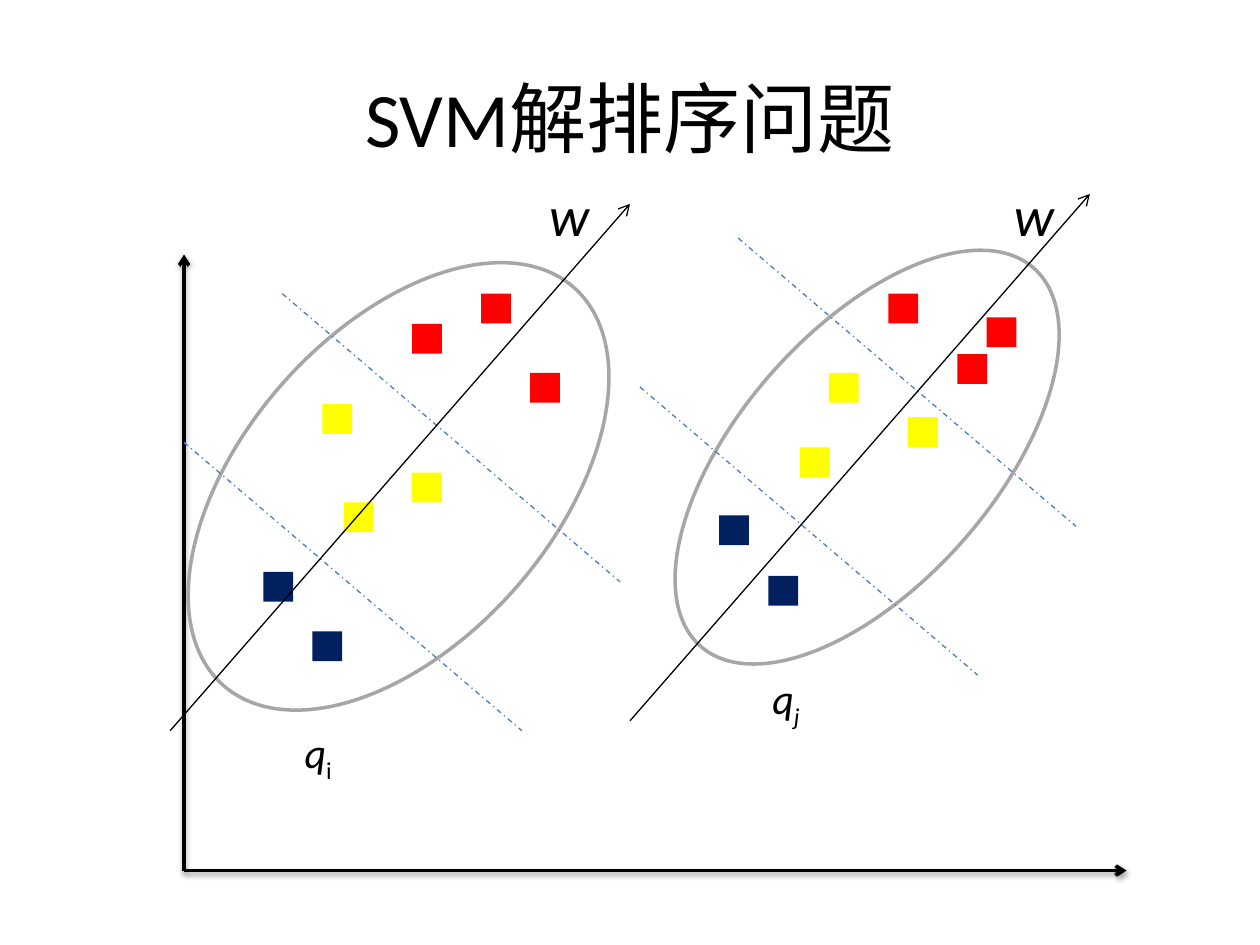
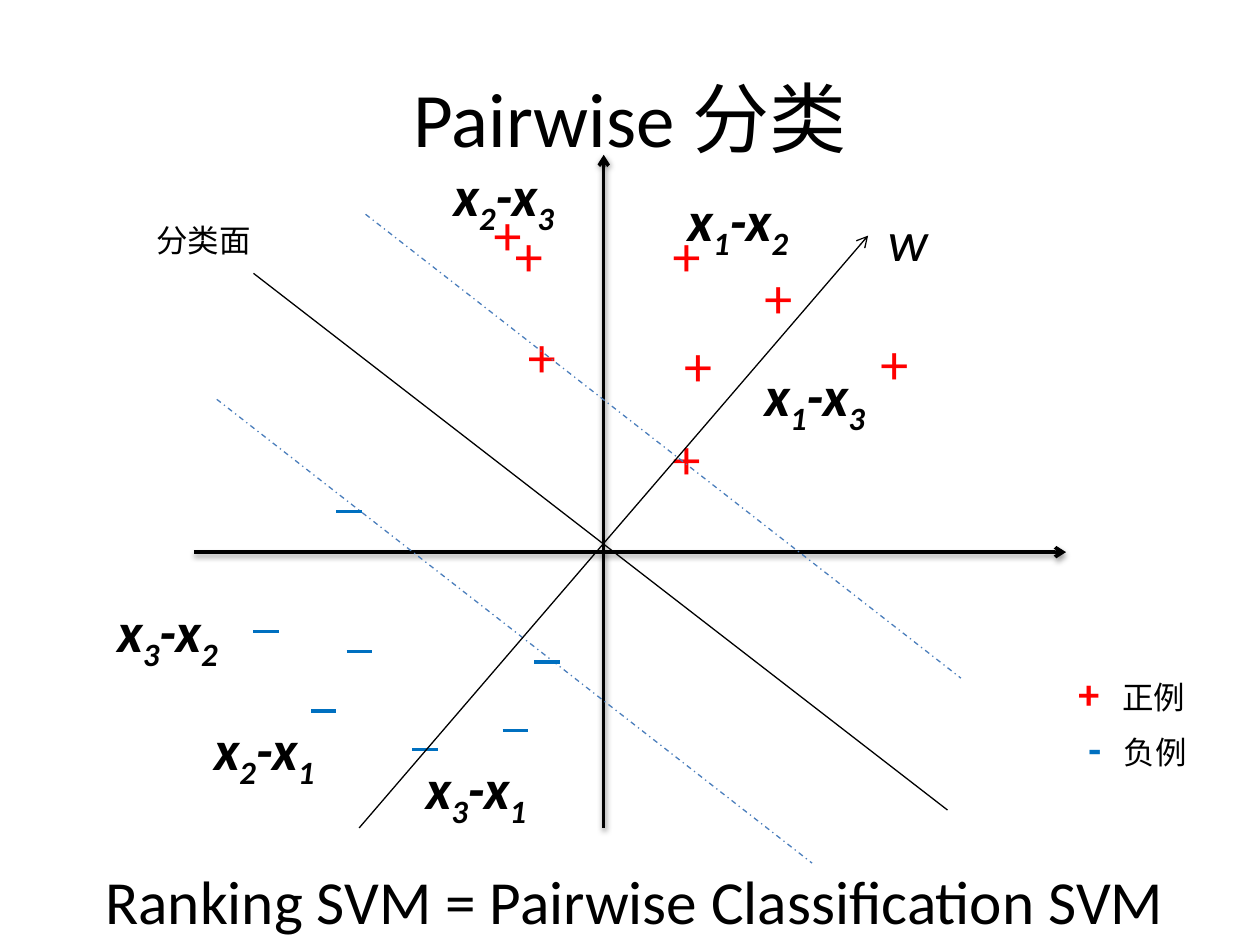
import pptx
import pptx.util
import pptx.dml.color
import pptx.enum.dml
import pptx.enum.shapes
import pptx.enum.text
import pptx.oxml
import pptx.oxml.ns
from lxml import etree
from dataclasses import dataclass

Cm, Pt = pptx.util.Cm, pptx.util.Pt
qn = pptx.oxml.ns.qn


@dataclass(frozen=True)
class Theme:
    font: str = "Calibri"
    black: str = "000000"
    red: str = "FF0000"
    yellow: str = "FFFF00"
    navy: str = "002060"
    blue: str = "0070C0"
    dash: str = "4B7EBC"
    grey: str = "A6A6A6"
    title: float = 44
    footer: float = 35
    symbol: float = 32
    label: float = 24
    note: float = 18
    thin: float = 0.75
    thick: float = 2


T = Theme()

TITLE_BOX = (1.27, 0.76, 22.86, 3.18)
SYMBOL_BOX = (1.6, 1.63)
W_BOX = (1.7, 1.63)
PAIR_BOX = (3.56, 1.63)
QUERY_BOX = (2.79, 1.27)
LEGEND_BOX = (3.4, 1.27)
SQUARE = 0.6
DASH_WIDTH = 0.51
ELLIPSE_TURN = 311.4

RANKING = {
    "title": "SVM解排序问题",
    "axes": [(3.71, 17.55, 3.71, 5.13), (3.71, 17.55, 22.71, 17.55)],
    "margin_step": (6.81, 5.81),
    "w_step": (9.27, -10.62),
    "queries": [
        {
            "ellipse": (2.69, 6.68, 10.69, 6.25),
            "margins": [(5.69, 5.92), (3.71, 8.92)],
            "items": {
                T.red: [(8.31, 6.53), (9.7, 5.92), (10.69, 7.52)],
                T.yellow: [(6.5, 8.15), (8.31, 9.53), (6.93, 10.13)],
                T.navy: [(5.31, 11.53), (6.3, 12.73)],
            },
            "w_start": (3.43, 14.73),
            "w_label": (10.82, 3.51),
            "name": (5.89, 14.53),
            "index": ("i", {"italic": False}),
        },
        {
            "ellipse": (12.4, 6.65, 10.16, 5.13),
            "margins": [(14.88, 4.8), (12.9, 7.8)],
            "items": {
                T.red: [(17.91, 5.92), (19.3, 7.14), (19.89, 6.4)],
                T.yellow: [(16.71, 7.52), (18.31, 8.41), (16.13, 9.02)],
                T.navy: [(14.5, 10.39), (15.49, 11.61)],
            },
            "w_start": (12.7, 14.53),
            "w_label": (20.19, 3.51),
            "name": (15.32, 13.44),
            "index": ("j", {"italic": True}),
        },
    ],
}

PAIRWISE = {
    "title": "Pairwise 分类",
    "axes": [(3.91, 11.13, 21.49, 11.13), (12.17, 16.69, 12.17, 3.12)],
    "positives": [(13.31, 4.32), (15.16, 5.16), (13.54, 6.53), (9.7, 3.89),
                  (17.5, 6.5), (10.39, 6.35), (13.31, 8.41), (10.13, 4.32)],
    "negatives": [(10.77, 13.34), (6.78, 10.31), (6.99, 13.13), (5.11, 12.73),
                  (8.31, 15.11), (10.13, 14.73), (6.27, 14.33)],
    "margin_step": (12, 9.35),
    "margins": [(7.37, 4.32), (4.37, 8.05)],
    "boundary": (5.11, 5.51, 19.1, 16.33),
    "boundary_label": ("分类面", (2.9, 4.34, 3.63, 1.02)),
    "pairs": [("1", "2", 13.61, 3.61), ("1", "3", 15.16, 7.14),
              ("2", "3", 8.89, 3.12), ("3", "1", 8.33, 15.06),
              ("2", "1", 4.06, 14.27), ("3", "2", 2.11, 11.91)],
    "w": (7.24, 16.69, 17.5, 4.75),
    "w_label": (17.65, 4.01),
    "footer": ("Ranking SVM = Pairwise Classification SVM", (0.1, 16.56, 25.4, 3.18)),
    "legend": [("+", "正例", T.red, (21.49, 13.34), 0.88),
               ("-", "负例", T.blue, (21.69, 14.45), 0.71)],
}


def rgb(value):
    return pptx.dml.color.RGBColor.from_string(value)


def style_run(r, size, color=T.black, sub=False, **fmt):
    for key, value in {"name": T.font, "size": Pt(size), **fmt}.items():
        setattr(r.font, key, value)
    r.font.color.rgb = rgb(color)
    if sub:
        r._r.get_or_add_rPr().set("baseline", "-25000")


def write(tf, runs, align=None, **fmt):
    for key, value in {"word_wrap": True, **fmt}.items():
        setattr(tf, key, value)
    p = tf.paragraphs[0]
    p.alignment = align
    for text, style in runs:
        r = p.add_run()
        r.text = text
        style_run(r, **style)
    return p


def add_text(slide, box, runs, **fmt):
    sp = slide.shapes.add_textbox(*map(Cm, box))
    return write(sp.text_frame, runs, **fmt)


def add_line(slide, ends, color=T.black, width=T.thin, dashed=False, arrow=False, shadow=False):
    cx = slide.shapes.add_connector(pptx.enum.shapes.MSO_CONNECTOR.STRAIGHT, *map(Cm, ends))
    cx.line.color.rgb = rgb(color)
    cx.line.width = Pt(width)
    if dashed:
        cx.line.dash_style = pptx.enum.dml.MSO_LINE.DASH_DOT
    if arrow:
        etree.SubElement(cx.line._get_or_add_ln(), qn("a:tailEnd"), type="arrow")
    effects = etree.SubElement(cx._element.spPr, qn("a:effectLst"))
    if shadow:
        outer = etree.SubElement(effects, qn("a:outerShdw"), blurRad="40000",
                                 dist="20000", dir="5400000", rotWithShape="0")
        tint = etree.SubElement(outer, qn("a:srgbClr"), val=T.black)
        etree.SubElement(tint, qn("a:alpha"), val="38000")


def add_step_line(slide, start, step, **fmt):
    (x, y), (dx, dy) = start, step
    add_line(slide, (x, y, x + dx, y + dy), **fmt)


def add_margins(slide, starts, step):
    for start in starts:
        add_step_line(slide, start, step, color=T.dash, dashed=True)


def add_square(slide, spot, color):
    sp = slide.shapes.add_shape(pptx.enum.shapes.MSO_SHAPE.RECTANGLE,
                                *map(Cm, (*spot, SQUARE, SQUARE)))
    sp.shadow.inherit = False
    sp.fill.solid()
    sp.fill.fore_color.rgb = rgb(color)
    sp.line.fill.background()


def add_ellipse(slide, box):
    sp = slide.shapes.add_shape(pptx.enum.shapes.MSO_SHAPE.OVAL, *map(Cm, box))
    sp.shadow.inherit = False
    sp.rotation = ELLIPSE_TURN
    sp.fill.background()
    sp.line.color.rgb = rgb(T.grey)
    sp.line.width = Pt(T.thick)


def add_w(slide, spot):
    add_text(slide, (*spot, *W_BOX), [("w", {"size": T.symbol, "italic": True})])


def start_slide(prs, content):
    slide = prs.slides.add_slide(prs.slide_layouts[5])
    title = slide.shapes.title
    for key, value in zip(("left", "top", "width", "height"), TITLE_BOX):
        setattr(title, key, Cm(value))
    write(title.text_frame, [(content["title"], {"size": T.title})],
          align=pptx.enum.text.PP_ALIGN.CENTER,
          vertical_anchor=pptx.enum.text.MSO_ANCHOR.MIDDLE)
    for ends in content["axes"]:
        add_line(slide, ends, width=T.thick, arrow=True, shadow=True)
    return slide


def build_ranking(prs, content):
    slide = start_slide(prs, content)
    for query in content["queries"]:
        add_ellipse(slide, query["ellipse"])
        add_margins(slide, query["margins"], content["margin_step"])
        for color, spots in query["items"].items():
            for spot in spots:
                add_square(slide, spot, color)
        index, fmt = query["index"]
        add_text(slide, (*query["name"], *QUERY_BOX),
                 [("q", {"size": T.label, "italic": True}),
                  (index, {"size": T.label, "sub": True, **fmt})])
        add_step_line(slide, query["w_start"], content["w_step"], arrow=True)
        add_w(slide, query["w_label"])


def build_pairwise(prs, content):
    slide = start_slide(prs, content)
    for spot in content["positives"]:
        add_text(slide, (*spot, *SYMBOL_BOX), [("+", {"size": T.symbol, "color": T.red})])
    add_margins(slide, content["margins"], content["margin_step"])
    add_line(slide, content["boundary"])
    for spot in content["negatives"]:
        add_step_line(slide, spot, (DASH_WIDTH, 0), color=T.blue, width=T.thick)

    base = {"size": T.symbol, "bold": True, "italic": True}
    low = {**base, "sub": True}
    for first, second, x, y in content["pairs"]:
        add_text(slide, (x, y, *PAIR_BOX),
                 [("x", base), (first, low), ("-x", base), (second, low)])

    add_line(slide, content["w"], arrow=True)
    add_w(slide, content["w_label"])

    text, box = content["footer"]
    add_text(slide, box, [(text, {"size": T.footer})],
             align=pptx.enum.text.PP_ALIGN.CENTER,
             vertical_anchor=pptx.enum.text.MSO_ANCHOR.MIDDLE)

    for sign, meaning, color, spot, tab in content["legend"]:
        p = add_text(slide, (*spot, *LEGEND_BOX),
                     [(sign, {"size": T.label, "color": color, "bold": True}),
                      ("\t" + meaning, {"size": T.note})])
        tabs = etree.SubElement(p._p.get_or_add_pPr(), qn("a:tabLst"))
        etree.SubElement(tabs, qn("a:tab"), pos=str(int(Cm(tab))), algn="l")

    text, box = content["boundary_label"]
    add_text(slide, box, [(text, {"size": T.note})])


def main():
    prs = pptx.Presentation()
    prs.slide_width, prs.slide_height = Cm(25.4), Cm(19.05)
    build_ranking(prs, RANKING)
    build_pairwise(prs, PAIRWISE)
    prs.save("out.pptx")


if __name__ == "__main__":
    main()
